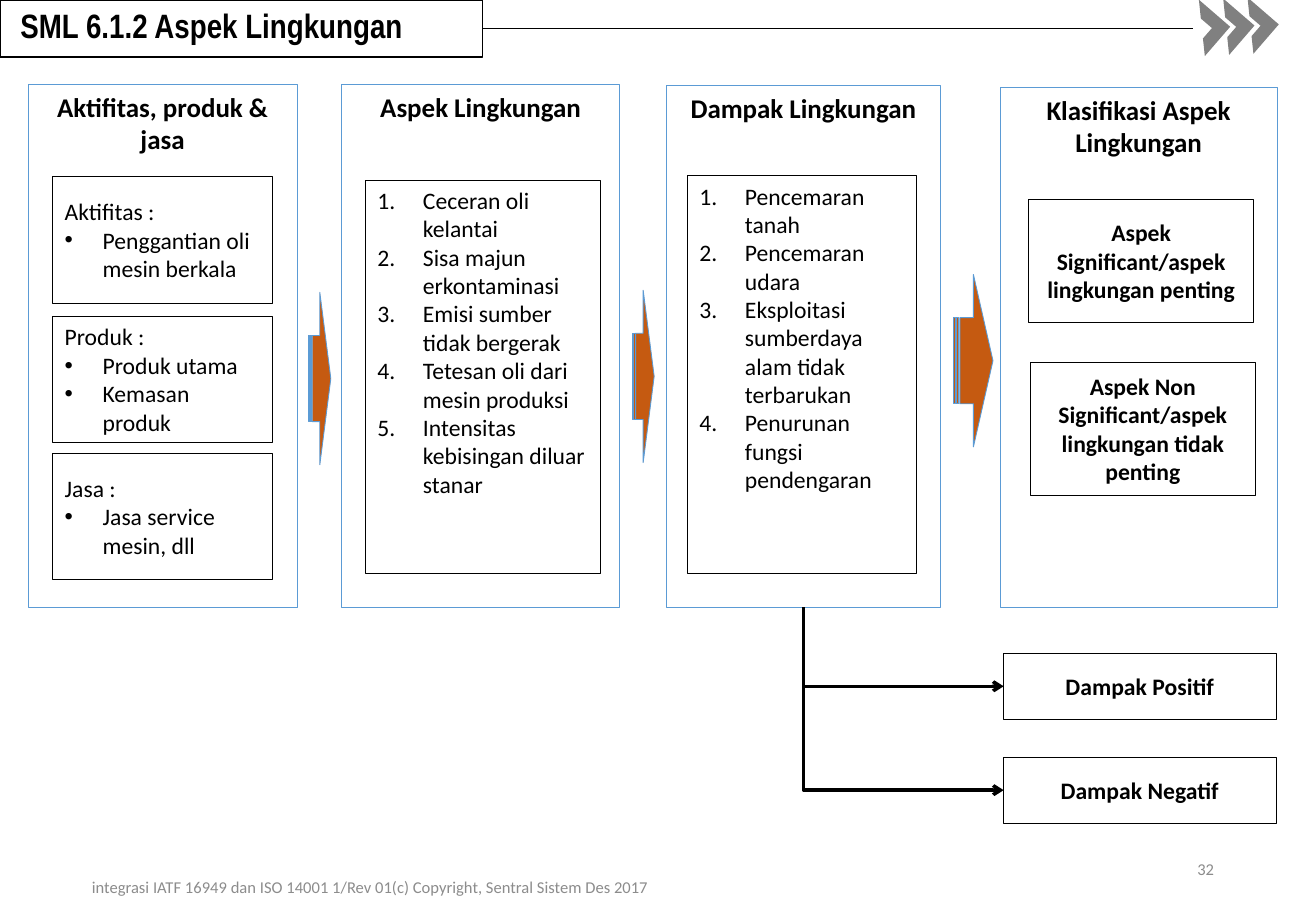
from lxml import etree
from pptx import Presentation
from pptx.dml.color import RGBColor
from pptx.enum.shapes import MSO_CONNECTOR as CONN, MSO_SHAPE as SHAPE
from pptx.enum.text import MSO_ANCHOR as ANCHOR, PP_ALIGN as ALIGN
from pptx.oxml.ns import qn
from pptx.util import Pt

BLACK, WHITE, BLUE, ORANGE = "000000", "FFFFFF", "5B9BD5", "C55A11"
GRAY, FOOT_GRAY = "808080", "8C8C8C"
PANEL_BOTTOM = 360

TITLE = "SML 6.1.2 Aspek Lingkungan"
FOOTER = "integrasi IATF 16949 dan ISO 14001 1/Rev 01(c) Copyright, Sentral Sistem Des 2017"
PAGE = "32"

# heading, left, top, width
PANELS = [
    ("Aktifitas, produk & jasa", 16.7, 50, 159.3),
    ("Aspek Lingkungan", 202.3, 50, 165),
    ("Dampak Lingkungan", 394.7, 50.5, 162.8),
    ("Klasifikasi Aspek Lingkungan", 592.7, 52, 164),
]
# top, label, bullets
SOURCES = [
    (104.6, "Aktifitas :", ["Penggantian oli mesin berkala"]),
    (187.2, "Produk :", ["Produk utama", "Kemasan produk"]),
    (268.6, "Jasa :", ["Jasa service mesin, dll"]),
]
# left, top, width, height, numbered items
LISTS = [
    (216.5, 106.7, 139, 233.3, [
        "Ceceran oli kelantai", "Sisa majun erkontaminasi", "Emisi sumber tidak bergerak",
        "Tetesan oli dari mesin produksi", "Intensitas kebisingan diluar stanar"]),
    (407.3, 104, 135.7, 236, [
        "Pencemaran tanah", "Pencemaran udara",
        "Eksploitasi sumberdaya alam tidak terbarukan", "Penurunan fungsi pendengaran"]),
]
# text, left, top, width, height
CLASSES = [
    ("Aspek Significant/aspek lingkungan penting", 609.5, 118, 133.3, 73),
    ("Aspek Non Significant/aspek lingkungan tidak penting", 610.5, 214.7, 133.3, 78.7),
]
IMPACTS = [
    ("Dampak Positif", 594.7, 387, 161.3, 39.6),
    ("Dampak Negatif", 594.7, 448.6, 161.3, 39.6),
]
# left, top, width
ARROWS = [(183, 173.3, 13), (374.6, 172, 13), (565.2, 162.7, 23.2)]

prs = Presentation()
prs.slide_width, prs.slide_height = Pt(779.76), Pt(540)
s = prs.slides.add_slide(prs.slide_layouts[6])


def rgb(color):
    return RGBColor.from_string(color)


def add_marker(p, kind, indent):
    """Give a paragraph a hanging bullet or an automatic number."""
    pPr = p._p.get_or_add_pPr()
    pPr.set("marL", str(Pt(indent)))
    pPr.set("indent", str(-Pt(indent)))
    if kind == "number":
        etree.SubElement(pPr, qn("a:buAutoNum"), type="arabicPeriod")
    else:
        etree.SubElement(pPr, qn("a:buFont"), typeface="Arial")
        etree.SubElement(pPr, qn("a:buChar"), char="•")


def write(sp, *lines, size=14, color=BLACK, bold=False, font="Calibri", align=ALIGN.LEFT,
          anchor=ANCHOR.MIDDLE, wrap=True, marker=None, indent=0, plain=0):
    """Fill a shape with paragraphs; the first `plain` ones get no marker."""
    tf = sp.text_frame
    tf.word_wrap, tf.vertical_anchor = wrap, anchor
    for i, line in enumerate(lines):
        p = tf.paragraphs[0] if i == 0 else tf.add_paragraph()
        p.alignment = align
        if marker and i >= plain:
            add_marker(p, marker, indent)
        r = p.add_run()
        r.text = line
        r.font.size, r.font.bold, r.font.name = Pt(size), bold, font
        r.font.color.rgb = rgb(color)


def add_shape(x, y, w, h, kind=SHAPE.RECTANGLE, fill=WHITE, line=BLACK, width=0.25):
    sp = s.shapes.add_shape(kind, Pt(x), Pt(y), Pt(w), Pt(h))
    sp.shadow.inherit = False
    sp.fill.solid()
    sp.fill.fore_color.rgb = rgb(fill)
    if line:
        sp.line.color.rgb = rgb(line)
        sp.line.width = Pt(width)
    else:
        sp.line.fill.background()
    return sp


def add_text(x, y, w, h, text, **fmt):
    write(s.shapes.add_textbox(Pt(x), Pt(y), Pt(w), Pt(h)), text, **fmt)


def add_line(kind, x1, y1, x2, y2, width):
    c = s.shapes.add_connector(kind, Pt(x1), Pt(y1), Pt(x2), Pt(y2))
    c.line.color.rgb = rgb(BLACK)
    c.line.width = Pt(width)
    etree.SubElement(c._element.spPr, qn("a:effectLst"))
    return c


def add_elbow(start, end):
    """Run an arrow down from the bottom of one box, then right into another."""
    c = add_line(CONN.ELBOW, 0, 0, 10, 10, 2)
    c.begin_connect(start, 0 + 2)
    c.end_connect(end, 1)
    x1, y1 = start.left + start.width // 2, start.top + start.height
    x2, y2 = end.left, end.top + end.height // 2
    # a one-bend connector that starts downwards is stored turned and flipped
    c.width, c.height = y2 - y1, x2 - x1
    c.left, c.top = (x1 + x2 - c.width) // 2, (y1 + y2 - c.height) // 2
    spPr = c._element.spPr
    xfrm = spPr.find(qn("a:xfrm"))
    xfrm.set("rot", "16200000")
    xfrm.set("flipH", "1")
    spPr.find(qn("a:prstGeom")).set("prst", "bentConnector2")
    etree.SubElement(spPr.find(qn("a:ln")), qn("a:tailEnd"), type="arrow")


title_box = add_shape(0, 0, 286, 34, width=1)
add_text(5, -0.7, 242.6, 31.5, TITLE, size=20, bold=True, font="Arial Narrow",
         anchor=ANCHOR.TOP, wrap=False)
add_line(CONN.STRAIGHT, 286, 17, 707, 17, 0.5).begin_connect(title_box, 3)
for i in range(3):
    chevron = add_shape(700.6 + 14.4 * i, 4.3 - 0.7 * i, 23, 24.5, SHAPE.HALF_FRAME, GRAY, None)
    chevron.rotation = 130.8

panels = []
for heading, x, y, w in PANELS:
    panel = add_shape(x, y, w, PANEL_BOTTOM - y, line=BLUE, width=0.5)
    write(panel, heading, size=16, bold=True, align=ALIGN.CENTER, anchor=ANCHOR.TOP)
    panels.append(panel)

for y, label, bullets in SOURCES:
    write(add_shape(31.2, y, 130.3, 75), label, *bullets, marker="bullet", indent=22.5, plain=1)

for x, y, w, h, items in LISTS:
    write(add_shape(x, y, w, h), *items, anchor=ANCHOR.TOP, marker="number", indent=27)

boxes = {}
for text, *place in CLASSES + IMPACTS:
    boxes[text] = add_shape(*place)
    write(boxes[text], text, bold=True, align=ALIGN.CENTER)

for x, y, w in ARROWS:
    add_shape(x, y, w, 102.2, SHAPE.STRIPED_RIGHT_ARROW, ORANGE, BLUE, 0.5)

for text, *_ in IMPACTS:
    add_elbow(panels[2], boxes[text])

add_text(30.2, 511.2, 378, 28.8, FOOTER, size=9.8, color=FOOT_GRAY, align=ALIGN.CENTER)
add_text(550.8, 500.4, 175.7, 28.8, PAGE, size=9.8, color=FOOT_GRAY, align=ALIGN.RIGHT)

prs.save("out.pptx")
